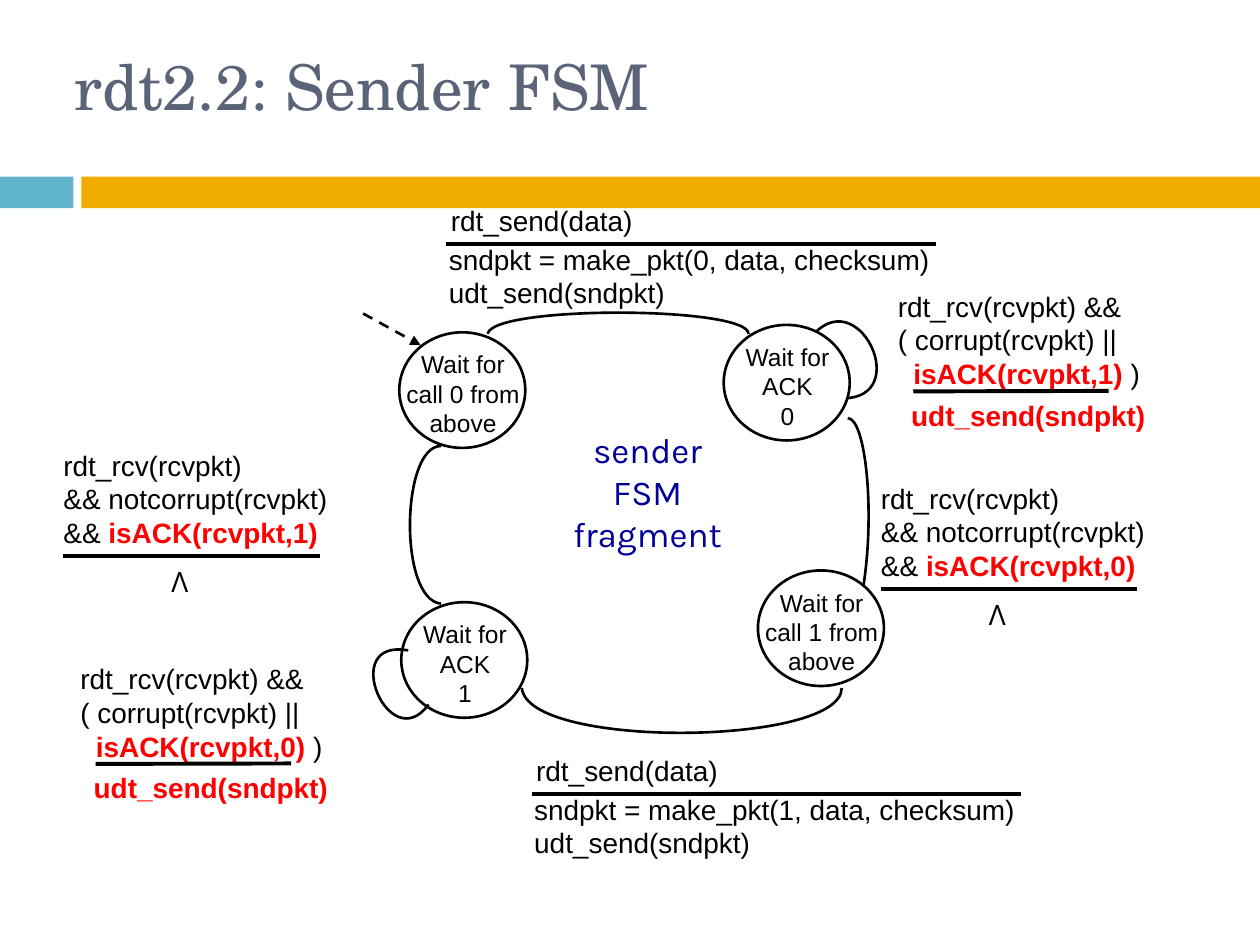
from math import cos, radians, sin

from lxml import etree
from pptx import Presentation
from pptx.dml.color import RGBColor
from pptx.enum.dml import MSO_LINE
from pptx.enum.shapes import MSO_CONNECTOR, MSO_SHAPE
from pptx.enum.text import MSO_ANCHOR, PP_ALIGN
from pptx.oxml.ns import qn
from pptx.util import Cm, Pt

STRAIGHT = MSO_CONNECTOR.STRAIGHT
RECTANGLE, OVAL = MSO_SHAPE.RECTANGLE, MSO_SHAPE.OVAL
DASH = MSO_LINE.DASH
LEFT, CENTER = PP_ALIGN.LEFT, PP_ALIGN.CENTER
TOP, MIDDLE = MSO_ANCHOR.TOP, MSO_ANCHOR.MIDDLE

BLACK = RGBColor(0x00, 0x00, 0x00)
WHITE = RGBColor(0xFF, 0xFF, 0xFF)
RED = RGBColor(0xFF, 0x00, 0x00)
NAVY = RGBColor(0x00, 0x00, 0x99)
SLATE = RGBColor(0x5A, 0x63, 0x78)
TEAL = RGBColor(0x60, 0xB5, 0xCC)
AMBER = RGBColor(0xF0, 0xAD, 0x00)

prs = Presentation()
prs.slide_width, prs.slide_height = Cm(25.4), Cm(19.05)
s = prs.slides.add_slide(prs.slide_layouts[6])


def add_text(x, y, w, h, lines, size=16, font="Arial", color=BLACK,
             align=LEFT, anchor=TOP):
    """Add one paragraph per line; parts between asterisks are bold red."""
    tf = s.shapes.add_textbox(Cm(x), Cm(y), Cm(w), Cm(h)).text_frame
    tf.word_wrap = True
    tf.vertical_anchor = anchor
    for i, line in enumerate(lines):
        p = tf.paragraphs[0] if i == 0 else tf.add_paragraph()
        p.alignment = align
        for j, part in enumerate(line.split("*")):
            if part:
                r = p.add_run()
                r.text = part
                r.font.name, r.font.size = font, Pt(size)
                r.font.bold = j % 2 == 1
                r.font.color.rgb = RED if r.font.bold else color


def add_line(x1, y1, x2, y2, width=2.25):
    c = s.shapes.add_connector(STRAIGHT, Cm(x1), Cm(y1), Cm(x2), Cm(y2))
    c.line.color.rgb = BLACK
    c.line.width = Pt(width)
    etree.SubElement(c._element.spPr, qn("a:effectLst"))
    return c


# Title and band
for x, w, color in [(0, 1.48, TEAL), (1.64, 23.76, AMBER)]:
    sp = s.shapes.add_shape(RECTANGLE, Cm(x), Cm(3.56), Cm(w), Cm(0.64))
    sp.shadow.inherit = False
    sp.fill.solid()
    sp.fill.fore_color.rgb = color
    sp.line.fill.background()
add_text(1.25, 0.49, 21.59, 2.46, ["rdt2.2: Sender FSM"], 36,
         "TeX Gyre Schola", SLATE, anchor=MIDDLE)

# States
states = [
    (8.05, 6.7, ["Wait for call 0 from above"]),
    (14.59, 6.55, ["Wait for ACK", "0"]),
    (15.28, 11.5, ["Wait for call 1 from above"]),
    (8.09, 12.14, ["Wait for ACK", "1"]),
]
ovals = []
for x, y, label in states:
    sp = s.shapes.add_shape(OVAL, Cm(x), Cm(y), Cm(2.54), Cm(2.33))
    sp.shadow.inherit = False
    sp.fill.solid()
    sp.fill.fore_color.rgb = WHITE
    sp.line.color.rgb = BLACK
    sp.line.width = Pt(1.5)
    ovals.append(sp)
    add_text(x - 0.19, y + 0.22, 2.95, 1.7, label, 14, align=CENTER)

# Transitions: frame, rotation, cubic curve on the slide, behind the states
transitions = [
    ((16.69, 5.94, 1.24, 2.39), 337.4,
     [(16.46, 6.68), (17.37, 5.82), (18.36, 8.0), (17.02, 8.03)], True),
    ((17.09, 8.43, 0.56, 3.41), 0,
     [(17.4, 11.86), (17.65, 10.31), (17.45, 8.43), (17.09, 8.43)], True),
    ((6.88, 10.16, 3.18, 0.86), 90,
     [(8.89, 12.17), (8.03, 12.09), (8.08, 8.99), (8.89, 8.99)], False),
    ((10.52, 13.87, 6.45, 1.24), 0,
     [(10.52, 13.87), (10.64, 15.11), (16.97, 15.04), (16.97, 13.87)], False),
    ((6.53, 13.16, 2.64, 1.32), 243.5,
     [(8.64, 14.2), (7.85, 15.29), (6.81, 12.85), (8.23, 13.11)], False),
    ((9.83, 6.15, 5.26, 0.58), 180,
     [(9.83, 6.73), (9.93, 6.15), (15.09, 6.17), (15.09, 6.73)], False),
]
for (x, y, w, h), rotation, controls, behind_states in transitions:
    builder = s.shapes.build_freeform(Cm(x), Cm(y))
    builder.add_line_segments([(Cm(x + w), Cm(y + h))], close=False)
    curve = builder.convert_to_shape()
    curve.rotation = rotation
    curve.shadow.inherit = False
    curve.fill.background()
    curve.line.color.rgb = BLACK
    curve.line.width = Pt(1.5)

    # Turn the control points back into the unrotated frame
    cosine, sine = cos(radians(rotation)), sin(radians(rotation))
    points = []
    for px, py in controls:
        dx, dy = px - x - w / 2, py - y - h / 2
        points.append((Cm(w / 2 + dx * cosine + dy * sine),
                       Cm(h / 2 - dx * sine + dy * cosine)))
    outline = next(curve._element.iter(qn("a:path")))
    for segment in list(outline):
        outline.remove(segment)
    for tag, ends in [("a:moveTo", points[:1]), ("a:cubicBezTo", points[1:])]:
        segment = etree.SubElement(outline, qn(tag))
        for px, py in ends:
            etree.SubElement(segment, qn("a:pt"), x=str(int(px)), y=str(int(py)))
    if behind_states:
        ovals[0]._element.addprevious(curve._element)

start = add_line(7.32, 6.32, 8.48, 6.96, 1.5)
start.line.dash_style = DASH
etree.SubElement(start.line._get_or_add_ln(), qn("a:tailEnd"), type="triangle")

# Send events with their actions
for x, y, seq in [(8.8, 4.76, 0), (10.52, 15.85, 1)]:
    add_text(x, y, 10.34, 1.12,
             [f"sndpkt = make_pkt({seq}, data, checksum)", "udt_send(sndpkt)"])
    add_text(x + 0.04, y - 0.78, 4.8, 0.79, ["rdt_send(data)"])
    add_line(x + 0.2, y + 0.15, x + 10.07, y + 0.15)

# Corrupt or duplicate ACK: resend
for x, y, ack in [(17.85, 5.71, 1), (1.37, 13.22, 0)]:
    add_text(x + 0.27, y + 2.19, 5.89, 1.12, ["*udt_send(sndpkt)*"])
    add_text(x, y, 7.54, 1.57, ["rdt_rcv(rcvpkt) &&", "( corrupt(rcvpkt) ||",
                                f"  *isACK(rcvpkt,{ack})* )"])
    add_line(x + 0.56, y + 2.18, x + 4.5, y + 2.17)

# Expected ACK: no action
for x, y, ack in [(17.51, 9.58, 0), (1.03, 8.91, 1)]:
    add_text(x, y, 6.71, 1.57, ["rdt_rcv(rcvpkt)", "&& notcorrupt(rcvpkt)",
                                f"&& *isACK(rcvpkt,{ack})*"])
    add_line(x + 0.24, y + 2.29, x + 5.42, y + 2.29)
    add_text(x + 2.15, y + 2.34, 0.89, 0.94, ["Λ"], font="Open Sans", align=CENTER)

add_text(11, 8.52, 4.11, 1.96, ["sender FSM", "fragment"], 20, "Karla", NAVY, CENTER)

prs.save("out.pptx")
